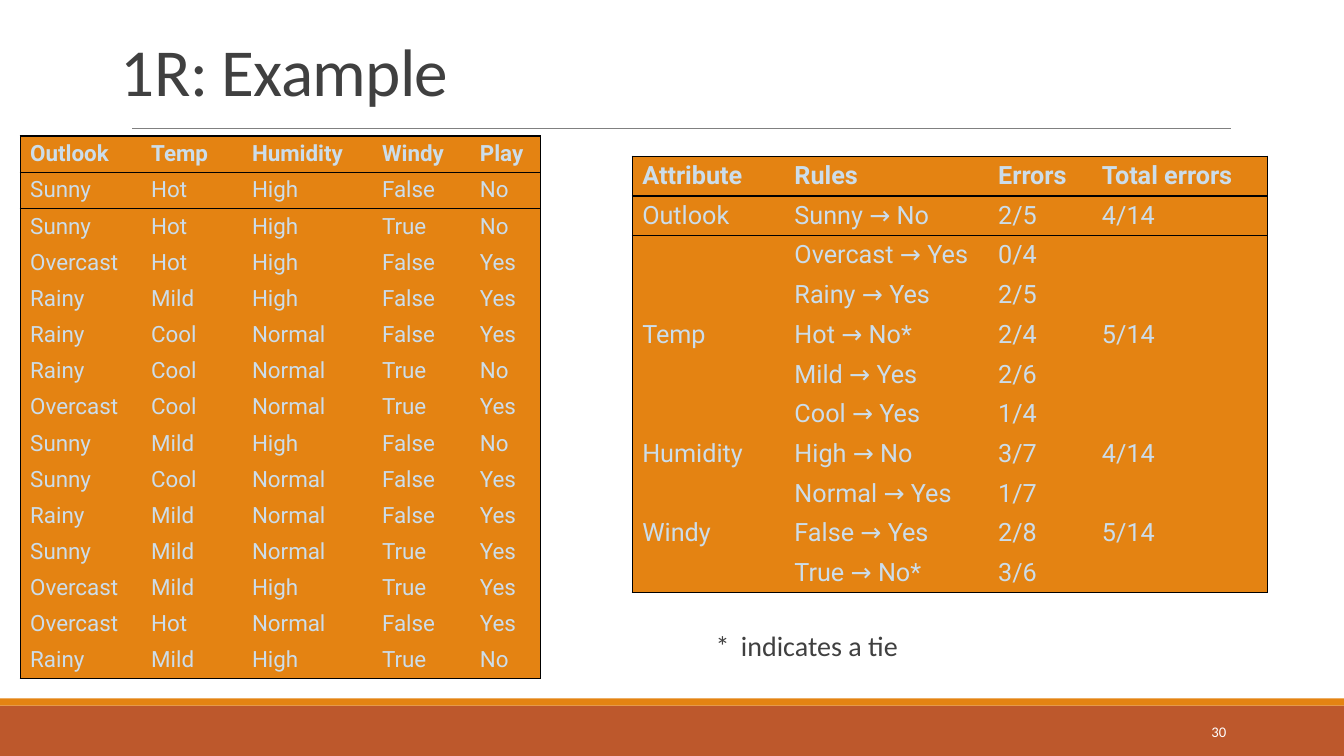
from pptx import Presentation
from pptx.dml.color import RGBColor
from pptx.enum.shapes import MSO_CONNECTOR as CONN, MSO_SHAPE as SHAPE
from pptx.enum.text import MSO_ANCHOR as ANCHOR, PP_ALIGN as ALIGN
from pptx.oxml import parse_xml
from pptx.oxml.ns import nsdecls
from pptx.util import Inches, Pt
from lxml import etree

TITLE = "1R: Example"
NOTE = "*\tindicates a tie"
PAGE = "30"
WEATHER = [line.split() for line in (
    "Outlook Temp Humidity Windy Play",
    "Sunny Hot High False No",
    "Sunny Hot High True No",
    "Overcast Hot High False Yes",
    "Rainy Mild High False Yes",
    "Rainy Cool Normal False Yes",
    "Rainy Cool Normal True No",
    "Overcast Cool Normal True Yes",
    "Sunny Mild High False No",
    "Sunny Cool Normal False Yes",
    "Rainy Mild Normal False Yes",
    "Sunny Mild Normal True Yes",
    "Overcast Mild High True Yes",
    "Overcast Hot Normal False Yes",
    "Rainy Mild High True No",
)]
RULES = [
    ("Attribute", "Rules", "Errors", "Total errors"),
    ("Outlook", "Sunny → No", "2/5", "4/14"),
    ("", "Overcast → Yes", "0/4", ""),
    ("", "Rainy → Yes", "2/5", ""),
    ("Temp", "Hot → No*", "2/4", "5/14"),
    ("", "Mild → Yes", "2/6", ""),
    ("", "Cool → Yes", "1/4", ""),
    ("Humidity", "High → No", "3/7", "4/14"),
    ("", "Normal → Yes", "1/7", ""),
    ("Windy", "False → Yes", "2/8", "5/14"),
    ("", "True → No*", "3/6", ""),
]
TABLES = [
    (WEATHER, 0.2, 1.35, (1.2, 1, 1.29, 0.97, 0.7), 5.38, 16),
    (RULES, 6.27, 1.55, (1.51, 2.02, 1.03, 1.74), 4.33, 18),
]
W, H = 13.33, 7.5
ORANGE = RGBColor(0xE4, 0x83, 0x12)
RUST = RGBColor(0xBD, 0x58, 0x2C)
GRAY = RGBColor(0x80, 0x80, 0x80)
DARK = RGBColor(0x40, 0x40, 0x40)
PALE = RGBColor(0xCC, 0xDD, 0xEA)
WHITE = RGBColor(0xFF, 0xFF, 0xFF)
BARS = [(7, 0.5, RUST), (6.93, 0.07, ORANGE)]
NO_GRID = "{2D5ABB26-0587-4C30-8999-92F81FD0307C}"


def style(font, size, color, name="Calibri", bold=False):
    font.size, font.name, font.bold = Pt(size), name, bold
    font.color.rgb = color


def add_text(s, text, box, size, color):
    tf = s.shapes.add_textbox(*map(Inches, box)).text_frame
    tf.word_wrap = True
    p = tf.paragraphs[0]
    p.text = text
    style(p.runs[0].font, size, color)
    return tf, p


def set_borders(cell, sides):
    tcPr = cell._tc.get_or_add_tcPr()
    for side in sides:
        tcPr.append(parse_xml(
            f'<a:ln{side} {nsdecls("a")} w="12700"><a:solidFill>'
            f'<a:srgbClr val="000000"/></a:solidFill></a:ln{side}>'))


def add_grid(s, data, left, top, widths, height, size):
    rows, cols = len(data), len(widths)
    frame = s.shapes.add_table(rows, cols, Inches(left), Inches(top),
                               Inches(sum(widths)), Inches(height))
    table = frame.table
    table.first_row = table.horz_banding = False
    table._tbl.tblPr.find("{*}tableStyleId").text = NO_GRID
    for col, width in zip(table.columns, widths):
        col.width = Inches(width)
    for i, values in enumerate(data):
        table.rows[i].height = Inches(height / rows)
        for j, value in enumerate(values):
            cell = table.cell(i, j)
            edges = {"L": j == 0, "R": j == cols - 1,
                     "T": i < 2, "B": i in (0, rows - 1)}
            set_borders(cell, [side for side, on in edges.items() if on])
            cell.fill.solid()
            cell.fill.fore_color.rgb = ORANGE
            p = cell.text_frame.paragraphs[0]
            if value:
                p.text = value
                style(p.runs[0].font, size, PALE, "Roboto", i == 0)
            else:
                end = p._p.get_or_add_endParaRPr()
                end.set("sz", str(size * 100))
                etree.SubElement(end, end.tag.replace("endParaRPr", "latin"),
                                 typeface="Roboto")


def main():
    prs = Presentation()
    prs.slide_width, prs.slide_height = Inches(W), Inches(H)
    s = prs.slides.add_slide(prs.slide_layouts[5])

    for top, height, color in BARS:
        sp = s.shapes.add_shape(SHAPE.RECTANGLE, 0, Inches(top), Inches(W), Inches(height))
        sp.shadow.inherit = False
        sp.fill.solid()
        sp.fill.fore_color.rgb = color
        sp.line.fill.background()

    rule = s.shapes.add_connector(CONN.STRAIGHT, *map(Inches, (1.31, 1.27, 12.21, 1.27)))
    rule.line.color.rgb = GRAY
    rule.line.width = Pt(0.5)
    rule._element.spPr.append(parse_xml(f'<a:effectLst {nsdecls("a")}/>'))

    title = s.shapes.title
    title.left, title.top, title.width, title.height = map(Inches, (1.1, 0.06, 11, 1.08))
    tf = title.text_frame
    tf.text = TITLE
    tf.vertical_anchor = ANCHOR.BOTTOM
    p = tf.paragraphs[0]
    p.alignment, p.line_spacing = ALIGN.LEFT, 0.85
    style(p.runs[0].font, 48, DARK)
    p.runs[0].font._element.set("spc", "-50")

    for spec_row in TABLES:
        add_grid(s, *spec_row)

    tf, p = add_text(s, NOTE, (7, 6.22, 2.42, 0.57), 20, DARK)
    pPr = p._p.get_or_add_pPr()
    pPr.set("marL", str(Inches(0.25)))
    pPr.set("indent", str(Inches(-0.25)))
    p.line_spacing = 0.9

    tf, p = add_text(s, PAGE, (10.83, 7.06, 1.43, 0.4), 10.5, WHITE)
    tf.vertical_anchor = ANCHOR.MIDDLE
    p.alignment = ALIGN.RIGHT

    prs.save("out.pptx")


if __name__ == "__main__":
    main()
